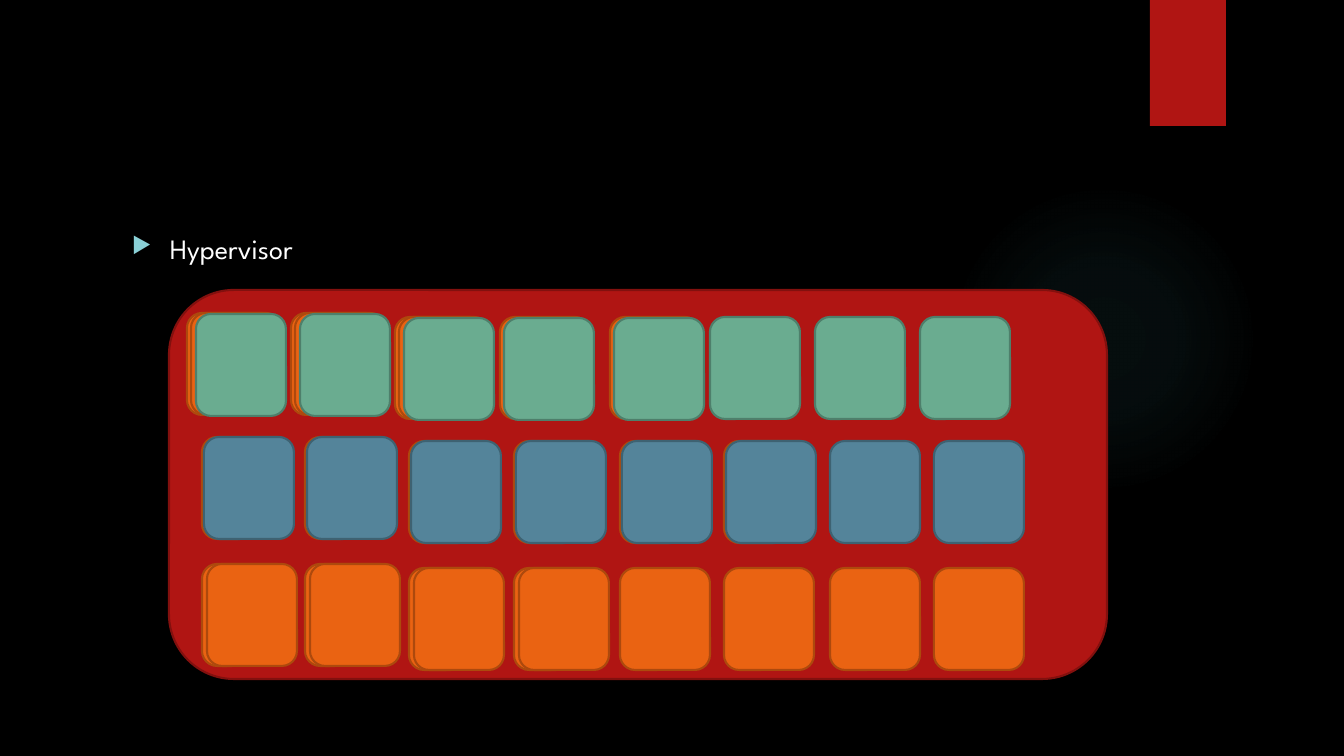
"""Build a slide showing a hypervisor as a panel of layered tiles."""
from lxml import etree
from pptx import Presentation
from pptx.dml.color import RGBColor
from pptx.enum.shapes import MSO_SHAPE
from pptx.enum.text import MSO_ANCHOR
from pptx.oxml import parse_xml
from pptx.oxml.ns import qn
from pptx.util import Emu, Pt

RECT, ROUND, OVAL = MSO_SHAPE.RECTANGLE, MSO_SHAPE.ROUNDED_RECTANGLE, MSO_SHAPE.OVAL
TOP = MSO_ANCHOR.TOP
SCALE = 914400 / 100.8
A_NS = "http://schemas.openxmlformats.org/drawingml/2006/main"

RED = ("B01513", "82100E")
ORANGE = ("EA6312", "AD490D")
GREEN = ("6AAC90", "4E7F6B")
BLUE = ("54849A", "3E6272")
GLOW = [(0, 7), (36, 6), (69, 0)]

TILE_W, TILE_H, RISE, RAISED_COLUMNS = 90, 102, 4, 2
LOWER_LEFTS = [202, 305, 409, 514, 620, 724, 830, 934]
ROWS = {
    "top": (317, [187, 291, 395, 500, 610, 710, 815, 920]),
    "middle": (441, LOWER_LEFTS),
    "bottom": (568, LOWER_LEFTS),
}
# row, columns, shift right, shift down, colours
LAYERS = [
    ("top", range(5), 0, 0, ORANGE),
    ("top", range(5, 8), 0, 0, GREEN),
    ("middle", range(6), 0, 0, ORANGE),
    ("middle", range(6, 8), 0, 0, BLUE),
    ("bottom", range(8), 0, 0, ORANGE),
    ("top", range(3), 4, 0, ORANGE),
    ("top", range(3, 5), 4, 1, GREEN),
    ("top", range(3), 9, 1, GREEN),
    ("middle", range(6), 2, 0, BLUE),
    ("bottom", range(4), 5, 0, ORANGE),
]


def px(n):
    return Emu(round(n * SCALE))


def rgb(color):
    return RGBColor.from_string(color)


def add_box(kind, x, y, w, h, fill, line=None):
    sp = s.shapes.add_shape(kind, px(x), px(y), px(w), px(h))
    sp.shadow.inherit = False
    sp.fill.solid()
    sp.fill.fore_color.rgb = rgb(fill)
    if line:
        sp.line.color.rgb = rgb(line)
        sp.line.width = Pt(1.5)
    else:
        sp.line.fill.background()
    return sp


def add_glow(sp, color, stops):
    gs = "".join(
        f'<a:gs pos="{pos * 1000}"><a:srgbClr val="{color}">'
        f'<a:alpha val="{alpha * 1000}"/></a:srgbClr></a:gs>'
        for pos, alpha in stops)
    grad = parse_xml(
        f'<a:gradFill xmlns:a="{A_NS}"><a:gsLst>{gs}</a:gsLst><a:path path="circle">'
        '<a:fillToRect l="50000" t="50000" r="50000" b="50000"/></a:path></a:gradFill>')
    solid = sp.fill._xPr.find(qn("a:solidFill"))
    solid.getparent().replace(solid, grad)


def add_bullet(p, char, color, percent, indent):
    pPr = p._p.get_or_add_pPr()
    pPr.set("marL", str(px(indent)))
    pPr.set("indent", str(-px(indent)))
    clr = etree.SubElement(pPr, qn("a:buClr"))
    etree.SubElement(clr, qn("a:srgbClr"), val=color)
    etree.SubElement(pPr, qn("a:buSzPct"), val=str(percent * 1000))
    etree.SubElement(pPr, qn("a:buChar"), char=char)


def add_text(text, x, y, w, h, size, color, font):
    tf = s.shapes.add_textbox(px(x), px(y), px(w), px(h)).text_frame
    tf.word_wrap = True
    tf.vertical_anchor = TOP
    p = tf.paragraphs[0]
    p.space_before = Pt(10)
    r = p.add_run()
    r.text = text
    r.font.size = Pt(size)
    r.font.name = font
    r.font.color.rgb = rgb(color)
    return p


prs = Presentation()
prs.slide_width, prs.slide_height = px(1344), px(756)
s = prs.slides.add_slide(prs.slide_layouts[6])
s.background.fill.solid()
s.background.fill.fore_color.rgb = rgb("000000")

add_glow(add_box(OVAL, 949, 184, 310, 310, "50B9C1"), "50B9C1", GLOW)
add_box(RECT, 1150, 0, 76, 126, RED[0])
title = add_text("Hypervisor", 122, 227, 986, 461, size=20, color="FFFFFF",
                 font="League Spartan")
add_bullet(title, "▶", color="8AD0D6", percent=80, indent=38)

add_box(ROUND, 169, 290, 938, 389, *RED)
for row, columns, dx, dy, colors in LAYERS:
    top, lefts = ROWS[row]
    for col in columns:
        rise = RISE if col < RAISED_COLUMNS else 0
        add_box(ROUND, lefts[col] + dx, top + dy - rise, TILE_W, TILE_H, *colors)

prs.save("out.pptx")
